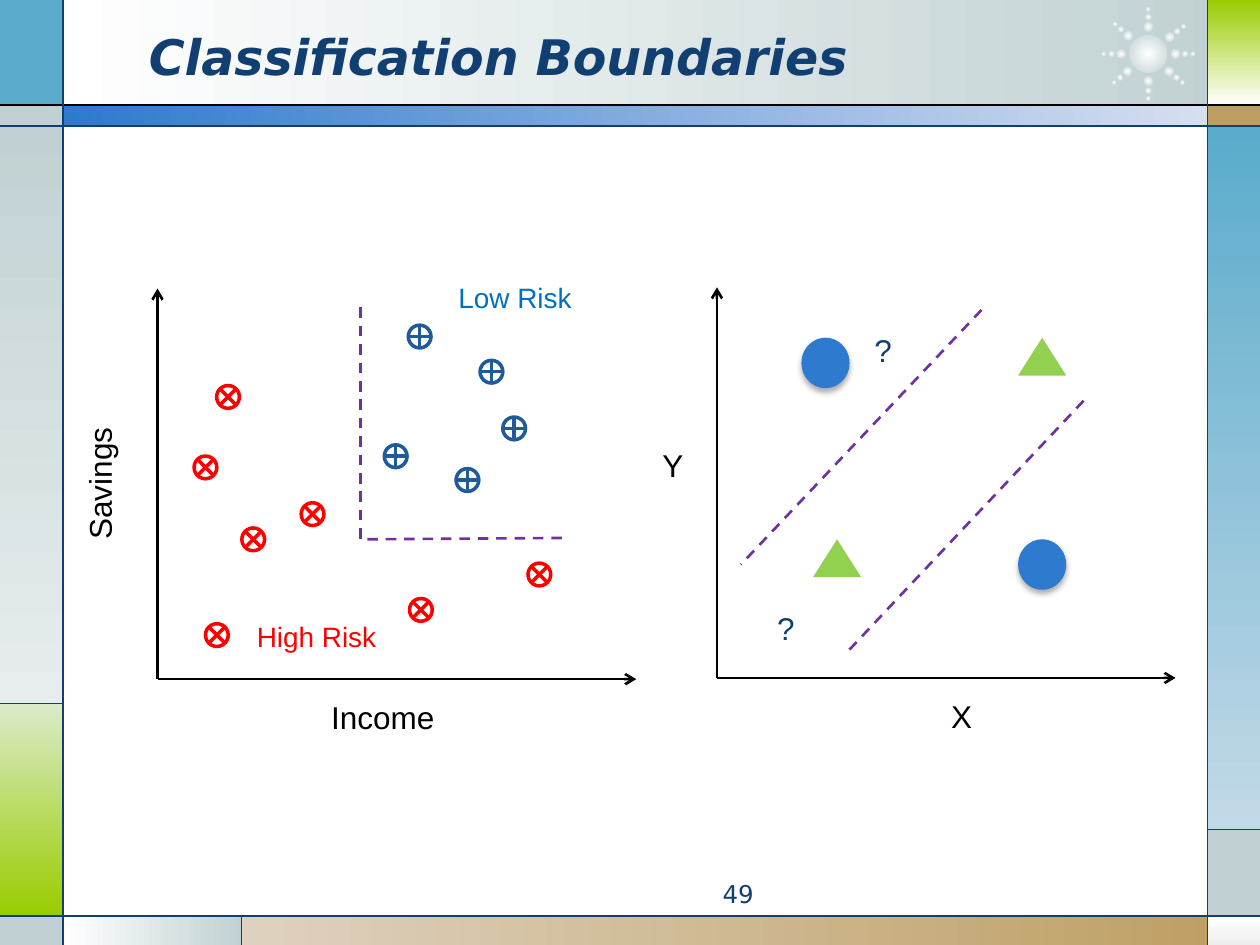
import math

import pptx
import pptx.dml.color
import pptx.enum.dml
import pptx.enum.shapes
import pptx.enum.text
import pptx.oxml.ns
import pptx.util
from lxml import etree

Pt = pptx.util.Pt
qn = pptx.oxml.ns.qn
SHAPE = pptx.enum.shapes.MSO_SHAPE
ALIGN = pptx.enum.text.PP_ALIGN

NAVY = "113F71"
BLUE = "2D7ACF"
SKY = "5AABCC"
MIST = "C1D1D3"
LIME = "99CC00"
TAN = "BD9E61"
WHITE = "FFFFFF"
BLACK = "000000"
RED = "FF0000"
PURPLE = "7030A0"

LEFT_EDGE, RIGHT_EDGE = 36, 690
HEADER_END, BAND_END, FOOTER_TOP = 60, 72, 523.5
WIDTH, HEIGHT = 720, 540


def rgb(value):
    return pptx.dml.color.RGBColor.from_string(value)


def add_preset(slide, preset, left, top, width, height, fill=None):
    shape = slide.shapes.add_shape(preset, Pt(left), Pt(top), Pt(width), Pt(height))
    shape.shadow.inherit = False
    shape.line.fill.background()
    if fill:
        shape.fill.solid()
        shape.fill.fore_color.rgb = rgb(fill)
    else:
        shape.fill.background()
    return shape


def apply_gradient(shape, start, end, angle=0):
    shape.fill.gradient()
    for stop, color in zip(shape.fill.gradient_stops, (start, end)):
        stop.color.rgb = rgb(color)
    shape.fill.gradient_angle = -angle % 360


def add_panel(slide, left, top, right, bottom, start, end=None, angle=0):
    panel = add_preset(slide, SHAPE.RECTANGLE, left, top, right - left, bottom - top, start)
    if end:
        apply_gradient(panel, start, end, angle)


def add_glow(slide, center_x, center_y, size):
    glow = add_preset(slide, SHAPE.OVAL, center_x - size / 2, center_y - size / 2, size, size)
    apply_gradient(glow, WHITE, MIST)
    gradient = glow.element.spPr.find(qn("a:gradFill"))
    gradient.remove(gradient.find(qn("a:lin")))
    radial = etree.SubElement(gradient, qn("a:path"), {"path": "circle"})
    etree.SubElement(radial, qn("a:fillToRect"), dict.fromkeys("ltrb", "50000"))


def add_sunburst(slide, center_x, center_y):
    add_glow(slide, center_x, center_y, 21.6)
    for angle in (0, 40, 90, 140, 180, 222, 270, 322):
        direction = math.radians(angle)
        for radius, size in ((15.5, 5.4), (21, 3.5), (25.5, 2.6)):
            add_glow(slide, center_x + radius * math.cos(direction),
                     center_y + radius * math.sin(direction), size)


def add_line(slide, start, end, color, weight, dashed=False, arrow=False):
    line = slide.shapes.add_connector(
        pptx.enum.shapes.MSO_CONNECTOR.STRAIGHT, *map(Pt, start + end))
    line.line.color.rgb = rgb(color)
    line.line.width = Pt(weight)
    if dashed:
        line.line.dash_style = pptx.enum.dml.MSO_LINE.DASH
    properties = line.element.spPr
    if arrow:
        etree.SubElement(properties.find(qn("a:ln")), qn("a:tailEnd"), {"type": "arrow"})
    etree.SubElement(properties, qn("a:effectLst"))


def add_run(paragraph, text, size, color, font):
    run = paragraph.add_run()
    run.text = text
    run.font.size = Pt(size)
    run.font.name = font
    run.font.color.rgb = rgb(color)
    return run


def add_label(slide, text, left, top, width, height, color=BLACK, size=18,
              font="Arial", align=ALIGN.LEFT, rotation=0):
    label = slide.shapes.add_textbox(Pt(left), Pt(top), Pt(width), Pt(height))
    label.rotation = rotation
    label.text_frame.word_wrap = True
    paragraph = label.text_frame.paragraphs[0]
    paragraph.alignment = align
    add_run(paragraph, text, size, color, font)


def add_axes(slide, origin, x_end, y_end):
    for end in ((x_end, origin[1]), (origin[0], y_end)):
        add_line(slide, origin, end, BLACK, 1.5, arrow=True)


def add_markers(slide, preset, color, positions):
    for left, top in positions:
        marker = add_preset(slide, preset, left, top, 13, 13)
        marker.line.color.rgb = rgb(color)
        marker.line.width = Pt(2)


def add_shaded_circle(slide, left, top):
    circle = add_preset(slide, SHAPE.OVAL, left, top, 27.5, 28.8, BLUE)
    shadow = etree.SubElement(
        circle.element.spPr.find(qn("a:effectLst")), qn("a:outerShdw"),
        {"blurRad": str(Pt(3.5)), "dist": str(Pt(2.2)), "dir": "5400000", "rotWithShape": "0"})
    color = etree.SubElement(shadow, qn("a:srgbClr"), {"val": BLACK})
    etree.SubElement(color, qn("a:alpha"), {"val": "32000"})


def add_frame(slide):
    panels = (
        (LEFT_EDGE, 0, 703.4, 60.5, WHITE, MIST),
        (0, 0, LEFT_EDGE, 60.5, SKY),
        (0, HEADER_END, LEFT_EDGE, BAND_END, MIST),
        (0, BAND_END, LEFT_EDGE, 402, MIST, "E7EDEE", 90),
        (0, 402, LEFT_EDGE, FOOTER_TOP, "DBEBC9", LIME, 90),
        (0, FOOTER_TOP, LEFT_EDGE, HEIGHT, MIST),
        (LEFT_EDGE, FOOTER_TOP, 138, HEIGHT, WHITE, MIST),
        (138, FOOTER_TOP, WIDTH, HEIGHT, "DED1BF", TAN),
        (RIGHT_EDGE, FOOTER_TOP, WIDTH, HEIGHT, WHITE, "EDEDED", 90),
        (RIGHT_EDGE, 474, WIDTH, FOOTER_TOP, MIST),
        (RIGHT_EDGE, BAND_END, WIDTH, 474, SKY, "C2D9E7", 90),
        (RIGHT_EDGE, HEADER_END, WIDTH, BAND_END, TAN),
        (RIGHT_EDGE, 0, WIDTH, HEADER_END, LIME, WHITE, 90),
        (LEFT_EDGE, HEADER_END, RIGHT_EDGE, BAND_END, BLUE, "D7DEF0"),
    )
    for panel in panels:
        add_panel(slide, *panel)
    add_sunburst(slide, 656.2, 30.8)
    add_line(slide, (0, HEADER_END), (WIDTH, HEADER_END), BLACK, 0.75)
    rules = (
        ((0, BAND_END), (WIDTH, BAND_END)),
        ((0, FOOTER_TOP), (WIDTH, FOOTER_TOP)),
        ((LEFT_EDGE, 0), (LEFT_EDGE, HEIGHT)),
        ((RIGHT_EDGE, 0), (RIGHT_EDGE, HEIGHT)),
        ((LEFT_EDGE, 402), (0, 402)),
        ((138, FOOTER_TOP), (138, HEIGHT)),
        ((RIGHT_EDGE, 474), (WIDTH, 474)),
    )
    for start, end in rules:
        add_line(slide, start, end, NAVY, 0.75)


def set_title(slide, text):
    title = slide.shapes.title
    title.left, title.top, title.width, title.height = map(Pt, (77.8, 9.4, 527.8, 44.6))
    title.element.getparent().append(title.element)
    title.text_frame.vertical_anchor = pptx.enum.text.MSO_ANCHOR.MIDDLE
    paragraph = title.text_frame.paragraphs[0]
    paragraph.alignment = ALIGN.LEFT
    heading = add_run(paragraph, text, 28, NAVY, "DejaVu Sans")
    heading.font.bold = True
    heading.font.italic = True


def add_xor_plot(slide):
    add_axes(slide, (409.7, 387.4), 671.8, 164.2)
    near, far, upper, lower = 458, 581.8, 193, 308.2
    add_shaded_circle(slide, near, upper)
    add_shaded_circle(slide, far, lower)
    for left, top in ((464.6, lower), (far, upper)):
        add_preset(slide, SHAPE.ISOSCELES_TRIANGLE, left, top, 27.5, 21.6, "92D050")
    for left, top in ((437, 344.2), (492.5, 185.8)):
        add_label(slide, "?", left, top, 34.6, 36, NAVY)
    for start, end in (((560.9, 177.1), (423.4, 322.6)), ((619.2, 229), (482.4, 374.4))):
        add_line(slide, start, end, PURPLE, 1.5, dashed=True)
    add_label(slide, "X", 536.4, 394.6, 31, 34.6)
    add_label(slide, "Y", 371.5, 251.3, 31, 34.6)


def add_risk_plot(slide):
    add_axes(slide, (90, 388.1), 363.6, 164.9)
    add_label(slide, "Income", 182.2, 395.3, 89.3, 34.6)
    add_label(slide, "Savings", 12.2, 250.6, 95, 34.6, rotation=270)
    add_markers(slide, SHAPE.FLOWCHART_OR, "215A99", (
        (233.3, 185.8), (287.3, 238.3), (260.6, 267.8), (274.3, 205.9), (219.6, 254.2)))
    add_markers(slide, SHAPE.FLOWCHART_SUMMING_JUNCTION, RED, (
        (123.8, 220.3), (110.9, 260.6), (138.2, 301.7), (117.4, 356.4),
        (234, 342), (301.7, 321.8), (172.1, 287.3)))
    for start, end in (((205.9, 175.7), (205.9, 309.6)), ((321.1, 307.4), (206.6, 308.2))):
        add_line(slide, start, end, PURPLE, 1.5, dashed=True)
    add_label(slide, "Low Risk", 254.9, 157, 95.8, 31.7, "0070C0", 16)
    add_label(slide, "High Risk", 139.7, 350.6, 100, 31.7, RED, 16)


def main():
    deck = pptx.Presentation()
    deck.slide_width, deck.slide_height = Pt(WIDTH), Pt(HEIGHT)
    slide = deck.slides.add_slide(deck.slide_layouts[5])
    add_frame(slide)
    set_title(slide, "Classification Boundaries")
    add_label(slide, "49", 270, 499, 167.8, 19.4, NAVY, 14, "DejaVu Sans", ALIGN.RIGHT)
    add_xor_plot(slide)
    add_risk_plot(slide)
    deck.save("out.pptx")


if __name__ == "__main__":
    main()
